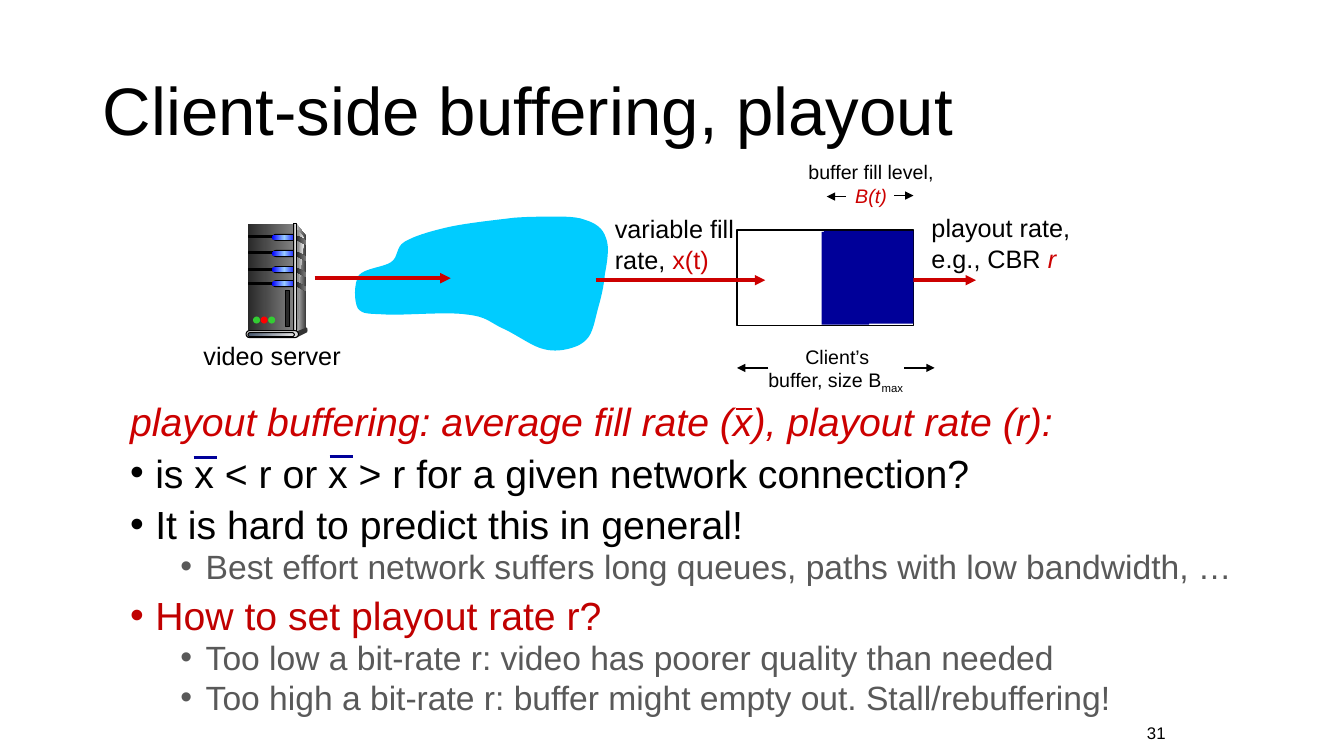
from copy import deepcopy
from dataclasses import dataclass
from typing import NamedTuple

from lxml import etree
from pptx import Presentation
from pptx.dml.color import RGBColor
from pptx.enum.shapes import MSO_CONNECTOR, MSO_SHAPE
from pptx.enum.text import MSO_ANCHOR, MSO_AUTO_SIZE, PP_ALIGN
from pptx.oxml.ns import qn
from pptx.util import Inches, Pt

RECT, PILL, OVAL = MSO_SHAPE.RECTANGLE, MSO_SHAPE.ROUNDED_RECTANGLE, MSO_SHAPE.OVAL
STRAIGHT = MSO_CONNECTOR.STRAIGHT
LEFT, CENTER, RIGHT = PP_ALIGN.LEFT, PP_ALIGN.CENTER, PP_ALIGN.RIGHT
TOP, MIDDLE = MSO_ANCHOR.TOP, MSO_ANCHOR.MIDDLE
FIXED, GROW = MSO_AUTO_SIZE.NONE, MSO_AUTO_SIZE.SHAPE_TO_FIT_TEXT

FONT = "Arial"
BLACK, RED, NAVY, GRAY = "000000", "CC0000", "000099", "595959"
DARK_METAL = ("292929", "808080")
BLUE_GLOW = ("0000FF", "99CCFF", "0000FF")


class Span(NamedTuple):
    text: str
    color: str = BLACK
    italic: bool = False
    baseline: int = 0


@dataclass
class Block:
    """A plain preset shape; several fill colours make a gradient."""
    kind: int
    at: tuple
    fill: tuple = ()
    line_width: float = 0


@dataclass
class Label:
    at: tuple
    lines: list
    size: int = 18
    align: int = LEFT
    wrap: bool = False
    anchor: int = TOP
    auto_size: int = GROW


@dataclass
class Stroke:
    start: tuple
    end: tuple
    color: str
    width: float
    arrow: bool = True


@dataclass
class Point:
    text: str
    color: str = BLACK
    level: int = 0
    bullet: bool = True
    italic: bool = False


def rgb(color: str) -> RGBColor:
    return RGBColor.from_string(color)


def paint(shape, colors: tuple, line_width: float = 0) -> None:
    shape.shadow.inherit = False
    fill = shape.fill
    if not colors:
        fill.background()
    elif len(colors) == 1:
        fill.solid()
        fill.fore_color.rgb = rgb(colors[0])
    else:
        fill.gradient()
        fill.gradient_angle = 0
        stop_list = shape._element.spPr.find(".//" + qn("a:gsLst"))
        for _ in colors[2:]:
            stop_list.append(deepcopy(stop_list[0]))
        for i, (stop, color) in enumerate(zip(fill.gradient_stops, colors)):
            stop.position = i / (len(colors) - 1)
            stop.color.rgb = rgb(color)
    if line_width:
        shape.line.color.rgb = rgb(BLACK)
        shape.line.width = Pt(line_width)
    else:
        shape.line.fill.background()


def draw_block(shapes, block: Block) -> None:
    shape = shapes.add_shape(block.kind, *map(Inches, block.at))
    if block.kind == PILL:
        shape.adjustments[0] = 0.5
    paint(shape, block.fill, block.line_width)


def draw_outline(shapes, start: tuple, segments: list, colors: tuple) -> None:
    """Each segment is (x, y), or six numbers for a cubic curve."""
    corners = [(Inches(s[i]), Inches(s[i + 1])) for s in segments for i in range(0, len(s), 2)]
    builder = shapes.build_freeform(*map(Inches, start))
    builder.add_line_segments(corners, close=True)
    shape = builder.convert_to_shape()
    # Fold the three steps of each curve into one Bézier element
    steps = iter(shape._element.spPr.findall(".//" + qn("a:lnTo")))
    for segment in segments:
        first = next(steps)
        if len(segment) == 6:
            curve = etree.Element(qn("a:cubicBezTo"))
            first.addprevious(curve)
            for step in (first, next(steps), next(steps)):
                curve.append(step[0])
                step.getparent().remove(step)
    paint(shape, colors)


def draw_stroke(shapes, stroke: Stroke) -> None:
    line = shapes.add_connector(STRAIGHT, *map(Inches, stroke.start + stroke.end))
    line.line.color.rgb = rgb(stroke.color)
    line.line.width = Pt(stroke.width)
    properties = line._element.spPr
    if stroke.arrow:
        etree.SubElement(properties.find(qn("a:ln")), qn("a:tailEnd"), type="triangle")
    etree.SubElement(properties, qn("a:effectLst"))


def add_span(paragraph, span: Span, size: int) -> None:
    run = paragraph.add_run()
    run.text = span.text
    font = run.font
    font.name, font.size, font.italic = FONT, Pt(size), span.italic
    font.color.rgb = rgb(span.color)
    if span.baseline:
        font._element.set("baseline", str(span.baseline * 1000))


def draw_label(shapes, label: Label) -> None:
    frame = shapes.add_textbox(*map(Inches, label.at)).text_frame
    frame.word_wrap, frame.auto_size = label.wrap, label.auto_size
    frame.vertical_anchor = label.anchor
    for i, spans in enumerate(label.lines):
        paragraph = frame.add_paragraph() if i else frame.paragraphs[0]
        paragraph.alignment = label.align
        for span in spans:
            add_span(paragraph, span, label.size)


def place(holder, at: tuple, anchor: int):
    holder.left, holder.top, holder.width, holder.height = map(Inches, at)
    frame = holder.text_frame
    frame.word_wrap, frame.auto_size, frame.vertical_anchor = True, FIXED, anchor
    return frame


def write_points(frame, points: list) -> None:
    for i, point in enumerate(points):
        paragraph = frame.add_paragraph() if i else frame.paragraphs[0]
        paragraph.level = point.level
        properties = paragraph._p.get_or_add_pPr()
        margin = 0.25 + 0.5 * point.level if point.bullet else 0
        properties.set("marL", str(Inches(margin)))
        properties.set("indent", str(Inches(-0.25 if point.bullet else 0)))
        if point.bullet:
            etree.SubElement(properties, qn("a:buChar"), char="•")
        else:
            etree.SubElement(properties, qn("a:buNone"))
        paragraph.alignment, paragraph.line_spacing = LEFT, 0.8
        paragraph.space_before = Pt((5 if point.level else 10) if i else 0)
        add_span(paragraph, Span(point.text, point.color, point.italic),
                 24 if point.level else 28)


def draw_server(shapes) -> None:
    # Case
    draw_outline(shapes, (2.94, 2.22), [(3.04, 2.35), (3.04, 3.26), (2.92, 3.3)],
                 ("DDDDDD", "333333"))
    draw_block(shapes, Block(RECT, (2.46, 2.22, 0.45, 1.08), DARK_METAL))
    draw_outline(shapes, (2.95, 2.28), [(2.95, 2.28, 2.96, 2.29, 3.02, 2.37),
                                        (2.95, 2.77, 2.96, 3.29, 2.95, 3.27)],
                 ("808080", "F8F8F8"))
    # Drive shelves with their lights and side slots
    for y in (2.34, 2.5, 2.66, 2.8):
        draw_block(shapes, Block(RECT, (2.47, y, 0.26, 0.02), (BLACK,), 0.75))
        draw_block(shapes, Block(PILL, (2.7, y - 0.02, 0.25, 0.07), (BLACK,)))
        draw_block(shapes, Block(PILL, (2.7, y - 0.01, 0.24, 0.05), BLUE_GLOW))
        draw_outline(shapes, (2.94, y), [(2.96, y, 2.99, y + 0.02, 3.04, y + 0.05),
                                         (3.04, y + 0.09), (2.94, y + 0.04)], DARK_METAL)
    # Spine, foot and status lights
    draw_block(shapes, Block(RECT, (2.91, 2.22, 0.03, 1.08),
                             ("333333", "DDDDDD", "333333"), 0.75))
    draw_block(shapes, Block(OVAL, (3.03, 3.25, 0.02, 0.05), ("333333",)))
    draw_outline(shapes, (2.94, 3.29), [(2.94, 3.35), (3.04, 3.3), (3.04, 3.25)], ("333333",))
    draw_block(shapes, Block(PILL, (2.44, 3.28, 0.52, 0.07), ("DDDDDD",), 0.75))
    draw_block(shapes, Block(PILL, (2.46, 3.3, 0.46, 0.04), ("44546A", "E7E6E6"), 0.75))
    for i, color in enumerate(("33CC33", "FF0000", "33CC33")):
        draw_block(shapes, Block(OVAL, (2.51 + 0.075 * i, 3.14, 0.07, 0.07), (color,)))
    draw_block(shapes, Block(RECT, (2.83, 2.88, 0.04, 0.36), ("292929",), 0.75))


CLOUD = [
    (4.94, 2.18, 4.65, 2.21, 4.46, 2.25), (4.28, 2.29, 4.11, 2.34, 4.01, 2.4),
    (3.92, 2.46, 3.96, 2.54, 3.88, 2.6), (3.81, 2.65, 3.62, 2.66, 3.56, 2.73),
    (3.51, 2.81, 3.51, 2.99, 3.55, 3.06), (3.6, 3.12, 3.65, 3.11, 3.83, 3.12),
    (4.01, 3.13, 4.44, 3.09, 4.63, 3.12), (4.82, 3.14, 4.85, 3.19, 4.97, 3.25),
    (5.09, 3.3, 5.24, 3.41, 5.35, 3.45), (5.46, 3.49, 5.56, 3.48, 5.64, 3.46),
    (5.72, 3.44, 5.79, 3.41, 5.84, 3.34), (5.89, 3.27, 5.91, 3.13, 5.94, 3.03),
    (5.97, 2.92, 5.99, 2.83, 6, 2.72), (6.02, 2.61, 6.05, 2.45, 6.01, 2.36),
    (5.98, 2.26, 5.9, 2.21, 5.8, 2.18), (5.7, 2.14, 5.53, 2.15, 5.41, 2.15),
    (5.29, 2.15, 5.25, 2.15, 5.1, 2.16)]
BUFFER = Block(RECT, (7.31, 2.28, 1.75, 0.95), (), 1.25)
FILL_LEVEL = [Block(RECT, (8.17, 2.29, 0.89, 0.92), (NAVY,)),
              Block(RECT, (8.15, 2.3, 0.47, 0.92), (NAVY,))]
FLOW = [Stroke((x, y), (end, y), RED, 2.5)
        for x, end, y in ((3.12, 4.47, 2.76), (5.91, 7.59, 2.78), (8.97, 9.68, 2.78))]
EXTENTS = [Stroke((x, y), (end, y), BLACK, 1.25)
           for x, end, y in ((8.39, 8.2, 1.95), (8.87, 9.06, 1.94),
                             (7.62, 7.31, 3.65), (8.97, 9.27, 3.65))]
AVERAGE_BARS = [Stroke((1.92, 4.54), (2.15, 4.54), NAVY, 1.75, False),
                Stroke((3.27, 4.53), (3.5, 4.53), NAVY, 1.75, False),
                Stroke((7.3, 4.06), (7.46, 4.06), RED, 1.5, False)]
LABELS = [
    Label((6, 2.07, 1.45, 0.71), [[Span("variable fill")], [Span("rate, "), Span("x(t)", RED)]]),
    Label((9.14, 2.06, 1.59, 0.71),
          [[Span("playout rate,")], [Span("e.g., CBR "), Span("r", RED, True)]]),
    Label((7.86, 1.54, 1.56, 0.57), [[Span("buffer fill level, "), Span("B(t)", RED, True)]],
          14, CENTER, True),
    Label((1.92, 3.33, 1.64, 0.4), [[Span("video server")]]),
    Label((7.4, 3.37, 1.81, 0.57),
          [[Span("Client’s")], [Span("buffer, size B"), Span("max ", baseline=-25)]],
          14, CENTER, True),
    Label((10.91, 7.12, 0.75, 0.3), [[Span("31")]], 12, RIGHT, True, MIDDLE, FIXED)]
POINTS = [
    Point("playout buffering: average fill rate (x), playout rate (r):", RED, 0, False, True),
    Point("is x < r or x > r for a given network connection?"),
    Point("It is hard to predict this in general!"),
    Point("Best effort network suffers long queues, paths with low bandwidth, …", GRAY, 1),
    Point("How to set playout rate r?", "C00000"),
    Point("Too low a bit-rate r: video has poorer quality than needed", GRAY, 1),
    Point("Too high a bit-rate r: buffer might empty out. Stall/rebuffering!", GRAY, 1)]


def main() -> None:
    deck = Presentation()
    deck.slide_width, deck.slide_height = Inches(13.33), Inches(7.5)
    slide = deck.slides.add_slide(deck.slide_layouts[1])
    shapes = slide.shapes

    # Title and list
    heading = place(shapes.title, (0.92, 0.4, 11.5, 1.45), MIDDLE).paragraphs[0]
    heading.alignment, heading.line_spacing = LEFT, 0.9
    add_span(heading, Span("Client-side buffering, playout"), 48)
    write_points(place(slide.placeholders[1], (1.19, 3.98, 11.22, 3.32), TOP), POINTS)

    # Streaming diagram; the fill level covers the start of the playout arrow
    draw_server(shapes.add_group_shape().shapes)
    draw_outline(shapes, (5.1, 2.16), CLOUD, ("00CCFF",))
    draw_block(shapes, BUFFER)
    for stroke in FLOW:
        draw_stroke(shapes, stroke)
    for block in FILL_LEVEL:
        draw_block(shapes, block)
    for stroke in EXTENTS + AVERAGE_BARS:
        draw_stroke(shapes, stroke)
    for label in LABELS:
        draw_label(shapes, label)

    deck.save("out.pptx")


if __name__ == "__main__":
    main()
